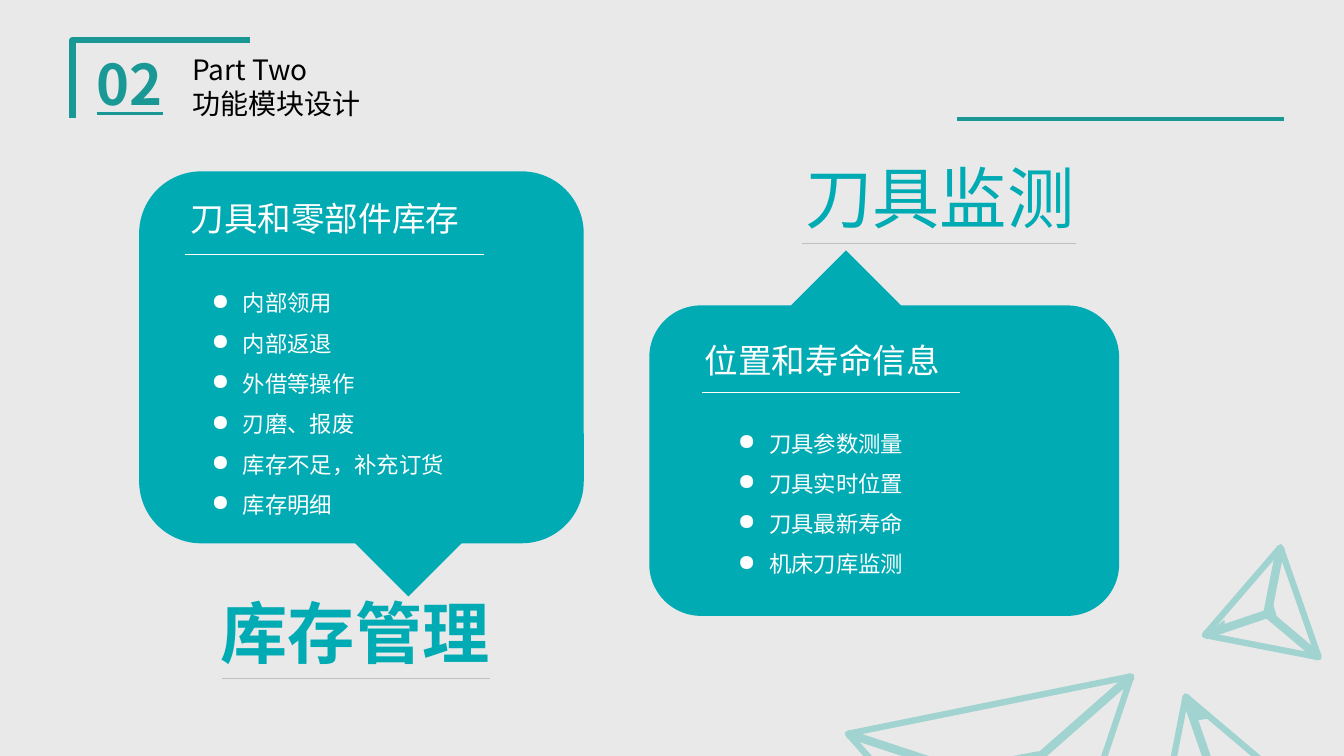
import pptx
import pptx.util
import pptx.dml.color
import pptx.enum.shapes
import pptx.enum.text
import pptx.oxml.ns
from lxml import etree

Inches = pptx.util.Inches
Pt = pptx.util.Pt
SHAPE = pptx.enum.shapes.MSO_SHAPE
FONT = "Noto Sans CJK SC"
COLORS = {"background": "E9E9E9", "frame": "1A9895", "shard": "A1D3D0",
          "callout": "00ABB4", "rule": "BFBFBF", "white": "FFFFFF", "black": "000000"}
SHARDS = [
    {"corners": [(11.76, 6.91), (12.87, 7.85), (11.48, 8.34)],
     "spokes": [((11.76, 6.91), (12.03, 7.69))],
     "wedges": [[(11.82, 7), (12, 7.12), (11.87, 7.14)]]},
    {"corners": [(8.41, 7.28), (11.22, 6.71), (10.31, 9.42)],
     "spokes": [((11.22, 6.71), (9.98, 7.8)), ((8.41, 7.28), (9.99, 7.8))],
     "wedges": [[(9.56, 7.6), (10.3, 7.46), (9.98, 7.76)]]},
    {"corners": [(11.95, 6.3), (13.08, 6.52), (12.7, 5.43)],
     "spokes": [(corner, (12.57, 6.09)) for corner in [(11.95, 6.3), (13.08, 6.52), (12.7, 5.43)]],
     "wedges": [[(12.6, 5.92), (12.68, 6.2), (12.58, 6.08)],
                [(12, 6.28), (12.14, 6.16), (12.14, 6.25)]]},
]


def rgb(name):
    """Return the named palette colour."""
    return pptx.dml.color.RGBColor.from_string(COLORS[name])


def paint(shape, fill=None, line=None, width=1):
    """Set a shape's fill and outline and remove its shadow."""
    shape.shadow.inherit = False
    if fill:
        shape.fill.solid()
        shape.fill.fore_color.rgb = rgb(fill)
    else:
        shape.fill.background()
    if line:
        shape.line.color.rgb = rgb(line)
        shape.line.width = Pt(width)
    else:
        shape.line.fill.background()


def add_line(slide, start, end, color, width):
    """Draw a straight line between two points."""
    connector = slide.shapes.add_connector(
        pptx.enum.shapes.MSO_CONNECTOR.STRAIGHT, *map(Inches, start + end))
    connector.line.color.rgb = rgb(color)
    connector.line.width = Pt(width)
    etree.SubElement(connector._element.spPr, pptx.oxml.ns.qn("a:effectLst"))


def add_outline(slide, points, closed=True):
    """Draw a polygon or an open path through points."""
    points = [(Inches(x), Inches(y)) for x, y in points]
    builder = slide.shapes.build_freeform(*points[0])
    builder.add_line_segments(points[1:], close=closed)
    return builder.convert_to_shape()


def write(shape, lines, size, color, bold=False, underline=False, bulleted=False, wrap=True):
    """Fill a text shape with uniformly formatted lines."""
    frame = shape.text_frame
    frame.text = "\n".join(lines)
    frame.word_wrap = wrap
    frame.auto_size = pptx.enum.text.MSO_AUTO_SIZE.NONE
    frame.vertical_anchor = pptx.enum.text.MSO_ANCHOR.TOP
    for paragraph in frame.paragraphs:
        paragraph.alignment = pptx.enum.text.PP_ALIGN.LEFT
        font = paragraph.font
        font.size = Pt(size)
        font.bold = bold
        font.underline = underline
        font.color.rgb = rgb(color)
        font.name = FONT
        properties = paragraph._p.get_or_add_pPr()
        defaults = properties.get_or_add_defRPr()
        etree.SubElement(defaults, pptx.oxml.ns.qn("a:ea"), typeface=FONT)
        if bulleted:
            paragraph.line_spacing = 1.5
            properties.set("marL", str(Inches(0.31)))
            properties.set("indent", str(-Inches(0.31)))
            bullet = etree.Element(pptx.oxml.ns.qn("a:buChar"), char="●")
            defaults.addprevious(bullet)


def add_text(slide, box, lines, size, color, **options):
    """Add a text box at the given box."""
    write(slide.shapes.add_textbox(*map(Inches, box)), lines, size, color, **options)


def add_shard(slide, corners, spokes, wedges):
    """Draw one faceted shard of the corner decoration."""
    paint(add_outline(slide, corners), "background", "shard", 4.5)
    for start, end in spokes:
        add_line(slide, start, end, "shard", 6)
    for wedge in wedges:
        paint(add_outline(slide, wedge), "shard", "shard")


def add_header(slide, left, top):
    """Place the corner frame, section number, title and right-hand rule."""
    frame = add_outline(slide, [(left, top + 0.77), (left, top), (left + 1.76, top)], False)
    paint(frame, None, "frame", 4.5)
    add_line(slide, (left + 8.77, top + 0.78), (left + 12.02, top + 0.78), "frame", 2.25)
    add_text(slide, (left + 0.14, top + 0.04, 0.95, 0.77), ["02"], 40, "frame",
             bold=True, underline=True)
    title = slide.shapes.title
    title.left, title.top, title.width, title.height = map(
        Inches, (left + 1.09, top + 0.07, 2.4, 0.77))
    write(title, ["Part Two", "功能模块设计"], 20, "black")
    for paragraph in title.text_frame.paragraphs:
        paragraph.line_spacing = 1.0


def add_callout(slide, box, pointer, rotation, heading, heading_at, rule, items, items_box):
    """Draw a callout whose parts are offset from the corner of its box."""
    left, top = box[:2]
    body = slide.shapes.add_shape(SHAPE.ROUNDED_RECTANGLE, *map(Inches, box))
    x, y, width, height = pointer
    tip = slide.shapes.add_shape(
        SHAPE.RIGHT_TRIANGLE, *map(Inches, (left + x, top + y, width, height)))
    tip.rotation = rotation
    for shape in (body, tip):
        paint(shape, "callout")
    x, y, length = rule
    add_line(slide, (left + x, top + y), (left + x + length, top + y), "white", 0.5)
    x, y = heading_at
    add_text(slide, (left + x, top + y, 2.91, 0.5), [heading], 24, "white", wrap=False)
    x, y, width, height = items_box
    add_text(slide, (left + x, top + y, width, height), items, 16, "white", bulleted=True)


def add_caption(slide, left, top, text, bold, rule_left, rule_length):
    """Place a large module name with a thin rule beneath it."""
    add_text(slide, (left, top, 2.89, 0.91), [text], 48, "callout", bold=bold, wrap=False)
    add_line(slide, (left + rule_left, top + 0.91),
             (left + rule_left + rule_length, top + 0.91), "rule", 0.5)


def main():
    """Build and save the slide."""
    presentation = pptx.Presentation()
    presentation.slide_width = Inches(13.33)
    presentation.slide_height = Inches(7.5)
    slide = presentation.slides.add_slide(presentation.slide_layouts[5])
    slide.background.fill.solid()
    slide.background.fill.fore_color.rgb = rgb("background")
    for shard in SHARDS:
        add_shard(slide, **shard)
    add_header(slide, 0.72, 0.4)
    add_callout(slide, (1.38, 1.7, 4.41, 3.69), (2.22, 3.13, 0.78, 0.95), 315,
                "刀具和零部件库存", (0.41, 0.21), (0.46, 0.82, 2.96),
                ["内部领用", "内部返退", "外借等操作", "刃磨、报废", "库存不足，补充订货", "库存明细"],
                (0.62, 0.99, 2.87, 2.52))
    add_caption(slide, 2.09, 5.82, "库存管理", True, 0.11, 2.66)
    add_callout(slide, (6.44, 3.03, 4.66, 3.08), (1.55, -0.38, 0.81, 0.82), 135,
                "位置和寿命信息", (0.45, 0.29), (0.52, 0.86, 2.56),
                ["刀具参数测量", "刀具实时位置", "刀具最新寿命", "机床刀库监测"],
                (0.78, 1.05, 2.77, 1.72))
    add_caption(slide, 7.89, 1.5, "刀具监测", False, 0.06, 2.72)
    presentation.save("out.pptx")


if __name__ == "__main__":
    main()
